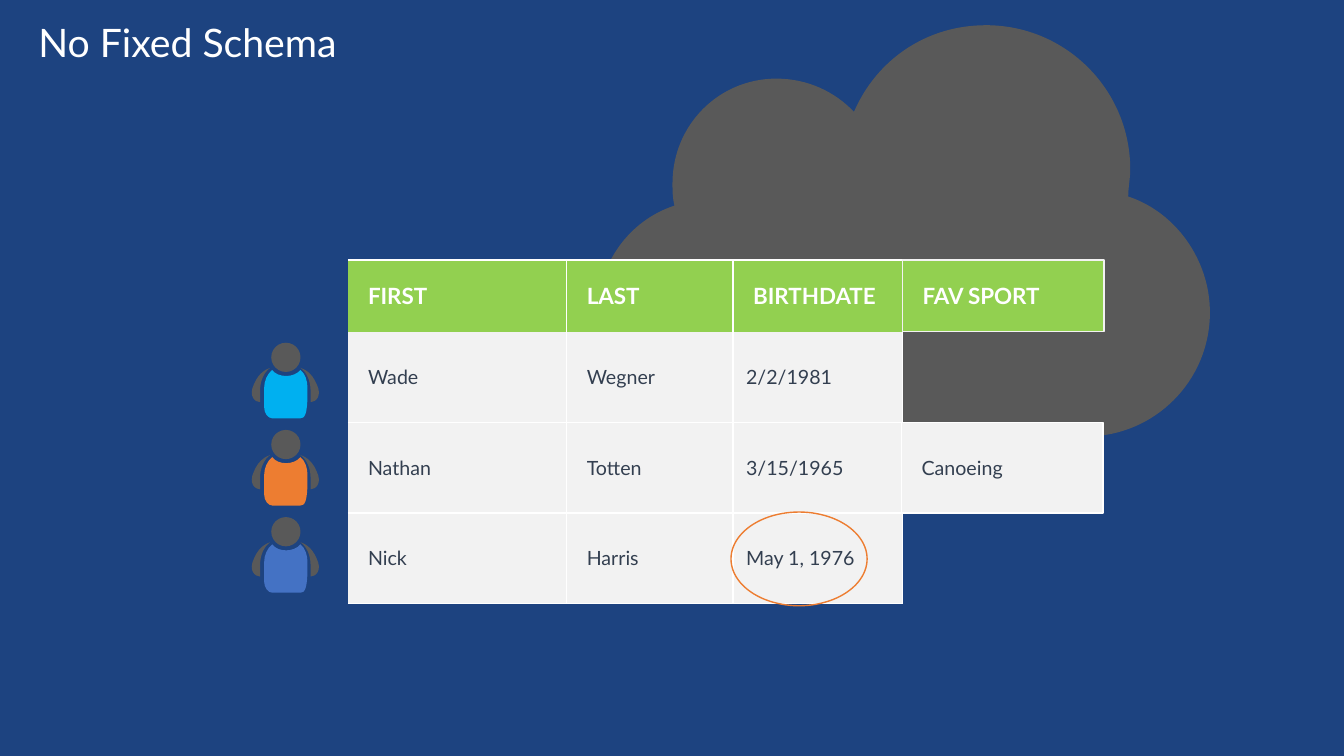
import pptx
import pptx.util
import pptx.dml.color
import pptx.enum.shapes
import pptx.enum.text
import pptx.oxml
import pptx.oxml.ns

Inches, Pt = pptx.util.Inches, pptx.util.Pt
SHAPE = pptx.enum.shapes.MSO_SHAPE
LEFT = pptx.enum.text.PP_ALIGN.LEFT
MIDDLE = pptx.enum.text.MSO_ANCHOR.MIDDLE
SPACE = pptx.oxml.ns.nsdecls("a")

FONT = "Lato"
HEX = {"back": "1D4380", "gray": "595959", "green": "92D050", "pale": "F2F2F2",
       "white": "FFFFFF", "ink": "333F50", "cyan": "00B0F0", "orange": "ED7D31",
       "blue": "4472C4"}

TITLE = "No Fixed Schema"
ROWS = [
    ["", "FIRST", "LAST", "BIRTHDATE"],
    ["", "Wade", "Wegner", "2/2/1981"],
    ["", "Nathan", "Totten", "3/15/1965"],
    ["", "Nick", "Harris", "May 1, 1976"],
]
COLS = [2.16, 2.17, 1.65, 1.68]
TALL = [0.71, 0.9, 0.9, 0.9]
GRID = (1.29, 2.58)
EXTRA = [  # text, box, fill, line, size, ink, bold
    ("FAV SPORT", (8.95, 2.58, 2, 0.71), "green", "pale", 16, "white", True),
    ("Canoeing", (8.94, 4.19, 2, 0.9), "pale", "white", 14, "ink", False),
]
RING = (7.25, 5.08, 1.35, 0.93)
SHIRTS = ["cyan", "orange", "blue"]
STEP = 0.865  # from one person down to the next

# Outlines in inches: pairs are corners, sixes are cubic curves.
CLOUD = [
    (11.19, 1.95), (11.19, 1.86, 11.21, 1.77, 11.21, 1.68),
    (11.21, 0.89, 10.57, 0.25, 9.78, 0.25), (9.18, 0.25, 8.69, 0.6, 8.47, 1.11),
    (8.28, 0.91, 8.01, 0.78, 7.7, 0.78), (7.13, 0.78, 6.67, 1.24, 6.67, 1.82),
    (6.67, 1.88, 6.67, 1.97, 6.69, 2.04), (6.23, 2.19, 5.92, 2.63, 5.92, 3.14),
    (5.92, 3.8, 6.45, 4.33, 7.11, 4.33), (10.77, 4.33),
    (11.45, 4.33, 12, 3.78, 12, 3.1), (12, 2.57, 11.65, 2.1, 11.19, 1.95),
]
ARM = [
    (2.68, 3.65), (2.65, 3.66, 2.57, 3.69, 2.52, 3.81),
    (2.46, 3.93, 2.53, 3.99, 2.58, 3.99), (2.58, 3.87),
    (2.58, 3.78, 2.62, 3.69, 2.68, 3.65),
]
SPAN = 5.66  # left plus right x of the mirrored arms
TORSO = [
    (3.05, 3.85), (3.05, 3.78, 3.03, 3.71, 2.98, 3.67),
    (2.95, 3.71, 2.89, 3.73, 2.84, 3.73), (2.78, 3.73, 2.73, 3.71, 2.7, 3.67),
    (2.65, 3.71, 2.62, 3.78, 2.62, 3.85), (2.62, 4.04),
    (2.62, 4.1, 2.66, 4.15, 2.7, 4.15), (2.98, 4.15),
    (3.02, 4.15, 3.05, 4.12, 3.05, 3.9),
]
HEAD = (2.69, 3.4, 0.29, 0.29)


def color(name):
    return pptx.dml.color.RGBColor.from_string(HEX[name])


def paint(shape, fill=None, line=None):
    shape.shadow.inherit = False
    if fill:
        shape.fill.solid()
        shape.fill.fore_color.rgb = color(fill)
    else:
        shape.fill.background()
    if line:
        shape.line.color.rgb = color(line)
        shape.line.width = Pt(1)
    else:
        shape.line.fill.background()


def write(frame, text, size, ink, bold=False):
    para = frame.paragraphs[0]
    para.alignment = LEFT
    run = para.add_run()
    run.text = text
    run.font.name, run.font.size, run.font.bold = FONT, Pt(size), bold
    run.font.color.rgb = color(ink)
    return para


def bend(shape, parts):
    """Join each three line steps that stand for a curve into one."""
    steps = iter(list(shape._element.iter(pptx.oxml.ns.qn("a:lnTo"))))
    for part in parts[1:]:
        first = next(steps)
        if len(part) == 2:
            continue
        curve = pptx.oxml.parse_xml(f"<a:cubicBezTo {SPACE}/>")
        first.addprevious(curve)
        for step in (first, next(steps), next(steps)):
            curve.append(step[0])
            step.getparent().remove(step)


def draw(shapes, parts, fill, drop=0, flip=False):
    spots = [(Inches(SPAN - x if flip else x), Inches(y + drop))
             for part in parts for x, y in zip(part[::2], part[1::2])]
    pen = shapes.build_freeform(*spots[0])
    pen.add_line_segments(spots[1:], close=True)
    shape = pen.convert_to_shape()
    bend(shape, parts)
    paint(shape, fill)


def oval(shapes, box, fill=None, line=None):
    paint(shapes.add_shape(SHAPE.OVAL, *map(Inches, box)), fill, line)


def edge(cell, sides):
    for side in sides:
        cell._tc.get_or_add_tcPr().append(pptx.oxml.parse_xml(
            f'<a:ln{side} {SPACE} w="12700"><a:solidFill>'
            f'<a:srgbClr val="{HEX["white"]}"/></a:solidFill></a:ln{side}>'))


def sides(row, col):
    """White rules, save left of the names and under the header."""
    return [side for side, show in (("L", col > 1), ("R", True),
                                    ("T", row != 1), ("B", row > 0)) if show]


def person(slide, shirt, drop):
    parts = slide.shapes.add_group_shape().shapes
    for flip in (False, True):
        draw(parts, ARM, "gray", drop, flip)
    draw(parts, TORSO, shirt, drop)
    x, y, w, h = HEAD
    oval(parts, (x, y + drop, w, h), "gray")


def grid(slide):
    frame = slide.shapes.add_table(len(ROWS), len(COLS), *map(
        Inches, (*GRID, sum(COLS), sum(TALL))))
    table = frame.table
    table.first_row = table.horz_banding = False
    style = table._tbl.tblPr.find(pptx.oxml.ns.qn("a:tableStyleId"))
    style.text = "{2D5ABB26-0587-4C30-8999-92F81FD0307C}"  # no style, no grid
    for col, wide in zip(table.columns, COLS):
        col.width = Inches(wide)
    for r, (line, tall) in enumerate(zip(ROWS, TALL)):
        table.rows[r].height = Inches(tall)
        top = r == 0
        for c, text in enumerate(line):
            cell = table.cell(r, c)
            if not text:
                cell.fill.background()
                continue
            edge(cell, sides(r, c))
            cell.fill.solid()
            cell.fill.fore_color.rgb = color("green" if top else "pale")
            cell.vertical_anchor = MIDDLE
            pad = 0.13 if c == 3 and not top else 0.2
            cell.margin_left = cell.margin_right = Inches(pad)
            write(cell.text_frame, text, 16 if top else 14,
                  "white" if top else "ink", top)


def main():
    deck = pptx.Presentation()
    deck.slide_width, deck.slide_height = Inches(13.33), Inches(7.5)
    slide = deck.slides.add_slide(deck.slide_layouts[5])
    slide.background.fill.solid()
    slide.background.fill.fore_color.rgb = color("back")

    draw(slide.shapes, CLOUD, "gray")

    title = slide.shapes.title
    title.left, title.top, title.width, title.height = map(
        Inches, (0, 0, 13.33, 0.89))
    frame = title.text_frame
    frame.vertical_anchor = MIDDLE
    frame.margin_left = Inches(0.38)
    write(frame, TITLE, 28, "white").line_spacing = 0.9

    grid(slide)
    oval(slide.shapes, RING, line="orange")
    for text, box, fill, line, size, ink, bold in EXTRA:
        card = slide.shapes.add_shape(SHAPE.RECTANGLE, *map(Inches, box))
        paint(card, fill, line)
        card.text_frame.vertical_anchor = MIDDLE
        card.text_frame.margin_left = Inches(0.2)
        write(card.text_frame, text, size, ink, bold)
    for i, shirt in enumerate(SHIRTS):
        person(slide, shirt, i * STEP)
    deck.save("out.pptx")


if __name__ == "__main__":
    main()
